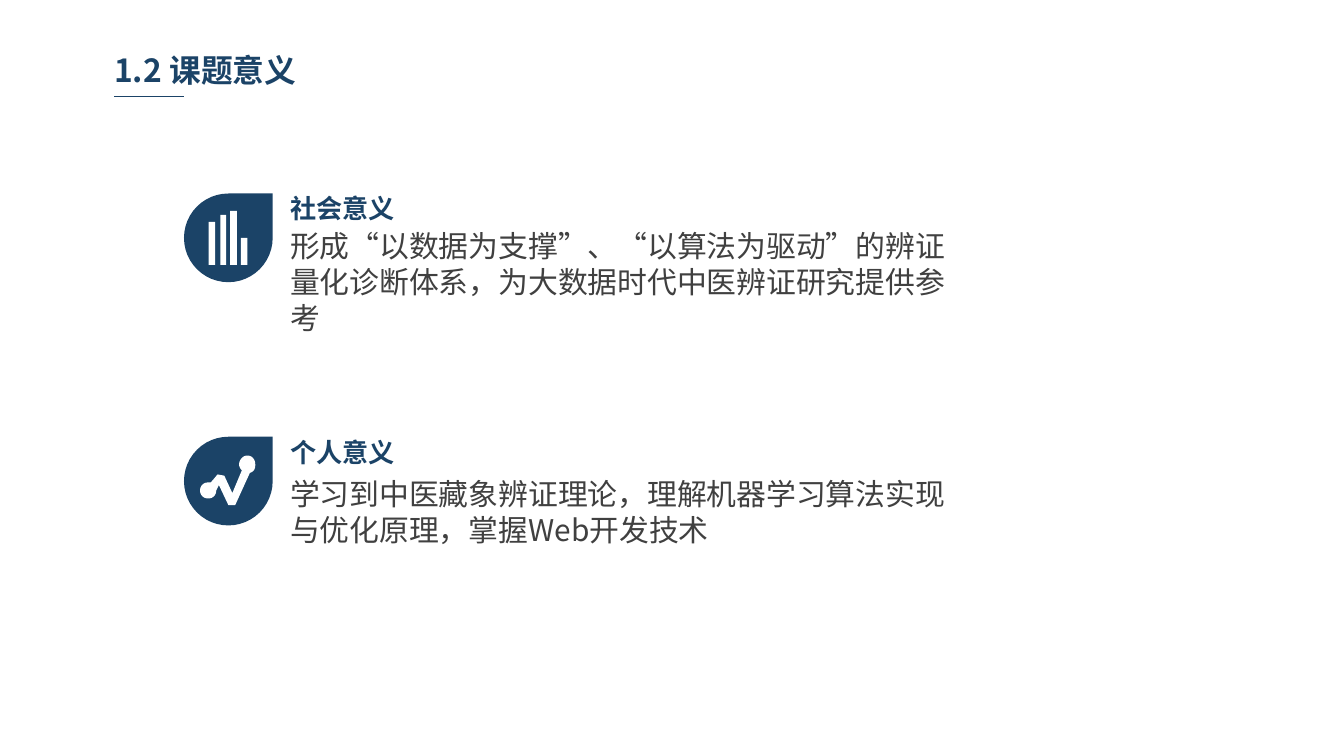
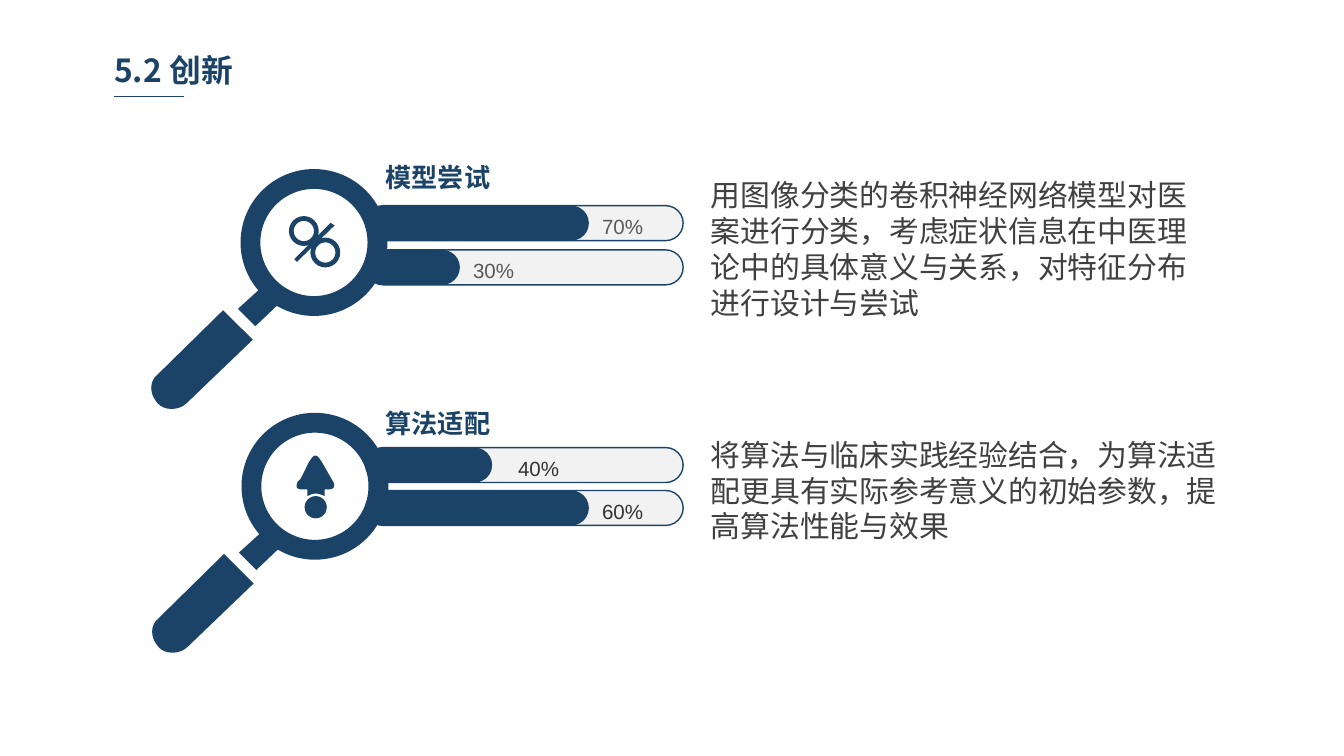
import pptx
import pptx.util
import pptx.dml.color
import pptx.enum.shapes
import pptx.enum.text
import pptx.oxml
import pptx.oxml.ns

Pt = pptx.util.Pt
SHAPE = pptx.enum.shapes.MSO_SHAPE
ALIGN = pptx.enum.text.PP_ALIGN

# Shared colours, fonts and text styles
NAVY, WHITE, PALE, DARK = "1B4367", "FFFFFF", "F2F2F2", "404040"
CJK = "Noto Sans CJK SC"
LEAD = 1.2  # line height per point of text size
TITLE = {"name": CJK, "size": Pt(17), "bold": True}
HEAD = {"name": CJK, "size": Pt(14), "bold": True}
BODY = {"name": CJK, "size": Pt(16), "bold": False}
LABEL = {"name": "Arial", "size": Pt(11)}

# Outlines: a pair is a corner, six numbers are a cubic curve
TREND = [(38.2, 15.1), (38.2, 12.2, 36.7, 10.1, 33.8, 10.1),
         (31.7, 10.1, 29.5, 12.2, 29.5, 15.1),
         (29.5, 15.8, 30.2, 17.3, 31, 18), (25.9, 30.2), (21.6, 20.9),
         (18, 20.2), (14.4, 24.5), (13, 24.5),
         (10.1, 24.5, 8.6, 26.6, 8.6, 28.8), (8.6, 31, 10.1, 33.1, 13, 33.1),
         (15.8, 33.1, 17.3, 31, 17.3, 28.8), (18.7, 25.9), (23.8, 36.7),
         (27.4, 36.7), (35.3, 19.4), (37.4, 18.7, 38.2, 17.3, 38.2, 15.1)]
NECK = [(23, 69.8), (7.9, 84.2), (-1.4, 74.9), (14.4, 60.5)]
GRIP = [(-9.4, 75.6), (-44.6, 110.2), (-49, 113.8, -49, 120.2, -44.6, 125.3),
        (-41, 129.6, -33.1, 129.6, -28.8, 125.3), (6.5, 91.4)]
SLASH = [(50.4, 30.2), (30.2, 49.7), (28.8, 48.2), (48.2, 28.8)]
ARROW = [(48.2, 35.3), (43.2, 26.6), (41.8, 24.5),
         (40.3, 22.3, 38.9, 22.3, 37.4, 24.5), (36, 26.6), (31.7, 35.3),
         (30.2, 36.7), (28.8, 39.6, 29.5, 41, 32.4, 41), (35.3, 41),
         (35.3, 44.6), (36.7, 43.9, 38.2, 43.2, 39.6, 43.2),
         (41, 43.2, 43.2, 43.9, 44.6, 44.6), (44.6, 41), (46.8, 41),
         (49.7, 41, 50.4, 38.9, 49, 36.7)]


def rgb(code):
    return pptx.dml.color.RGBColor.from_string(code)


def write(frame, text, style, color, pad=None, wrap=True, gap=None,
          align=ALIGN.LEFT):
    """Put one formatted paragraph into a text frame."""
    frame.word_wrap = wrap
    frame.auto_size = pptx.enum.text.MSO_AUTO_SIZE.NONE
    frame.vertical_anchor = pptx.enum.text.MSO_ANCHOR.TOP
    if pad:
        frame.margin_left = frame.margin_right = Pt(pad[0])
        frame.margin_top = frame.margin_bottom = Pt(pad[1])
    para = frame.paragraphs[0]
    para.alignment = align
    para.line_spacing = gap
    para.space_before = Pt(0)
    run = para.add_run()
    run.text = text
    for key, value in style.items():
        setattr(run.font, key, value)
    run.font.color.rgb = rgb(color)
    face = pptx.oxml.ns.qn("a:ea")
    run._r.get_or_add_rPr().makeelement(face)
    east = pptx.oxml.parse_xml(
        '<a:ea %s typeface="%s"/>' % (pptx.oxml.ns.nsdecls("a"), style["name"]))
    run._r.get_or_add_rPr().append(east)
    return para


def fill_in(slide, idx, box, text, style, color, ratio=1, wrap=True):
    """Move a placeholder and fill it with plain, unbulleted text."""
    holder = slide.placeholders[idx]
    holder.left, holder.top, holder.width, holder.height = map(Pt, box)
    gap = Pt(round(style["size"].pt * LEAD * ratio, 1))
    para = write(holder.text_frame, text, style, color, (5, 2.7), wrap, gap)
    props = para._p.get_or_add_pPr()
    props.set("marL", "0")
    props.set("indent", "0")
    props.append(pptx.oxml.parse_xml(
        "<a:buNone %s/>" % pptx.oxml.ns.nsdecls("a")))


def paint(shape, color, edge=None):
    shape.shadow.inherit = False
    shape.fill.solid()
    shape.fill.fore_color.rgb = rgb(color)
    if edge:
        shape.line.color.rgb = rgb(edge)
        shape.line.width = Pt(0.75)
    else:
        shape.line.fill.background()


def block(slide, kind, box, color, edge=None, adj=None):
    shape = slide.shapes.add_shape(kind, *map(Pt, box))
    if adj is not None:
        shape.adjustments[0] = adj
    paint(shape, color, edge)


def trace(steps, parts=8):
    """Turn corners and cubic curves into a list of points."""
    dots = []
    for step in steps:
        if len(step) == 2:
            dots.append(step)
            continue
        knots = [dots[-1], step[:2], step[2:4], step[4:]]
        for i in range(1, parts + 1):
            t = i / parts
            mix = ((1 - t) ** 3, 3 * t * (1 - t) ** 2,
                   3 * t * t * (1 - t), t ** 3)
            dots.append(tuple(sum(m * k[axis] for m, k in zip(mix, knots))
                              for axis in (0, 1)))
    return dots


def draw(slide, steps, left, top, color):
    """Draw a closed outline, in hundredths of a point."""
    dots = [((left + x) * 100, (top + y) * 100) for x, y in trace(steps)]
    pen = slide.shapes.build_freeform(*dots[0], scale=127)
    pen.add_line_segments(dots[1:], close=True)
    paint(pen.convert_to_shape(), color)


def start(deck, title):
    """Add a slide with its title and the short rule below."""
    slide = deck.slides.add_slide(deck.slide_layouts[4])
    fill_in(slide, 0, (56.2, 24.5, 177.8, 25.9), title, TITLE, NAVY)
    rule = slide.shapes.add_connector(
        pptx.enum.shapes.MSO_CONNECTOR.STRAIGHT,
        Pt(61.2), Pt(51.8), Pt(98.6), Pt(51.8))
    rule.line.color.rgb = rgb(NAVY)
    rule.line.width = Pt(0.75)
    rule._element.spPr.append(pptx.oxml.parse_xml(
        "<a:effectLst %s/>" % pptx.oxml.ns.nsdecls("a")))
    return slide


def badge(slide, top):
    block(slide, SHAPE.TEAR, (98.6, top, 47.5, 47.5), NAVY)


def bar(slide, top, size, text, color, wide=38.2):
    """Draw a progress bar with its value after the filled part."""
    left, tall = 196, 18.7
    block(slide, SHAPE.ROUNDED_RECTANGLE, (left, top, 170, tall),
          PALE, NAVY, 0.5)
    block(slide, SHAPE.ROUNDED_RECTANGLE, (left, top, size, tall),
          NAVY, adj=0.5)
    box = (left + size - 1, top - 1.8, wide, 23)
    label = slide.shapes.add_textbox(*map(Pt, box))
    write(label.text_frame, text, LABEL, color, gap=LEAD, align=ALIGN.CENTER)


def lens(slide, left, top):
    draw(slide, NECK, left, top, NAVY)
    block(slide, SHAPE.DONUT, (left, top, 78.7, 78.7), NAVY, adj=0.135)
    draw(slide, GRIP, left, top, NAVY)


def meaning(deck):
    slide = start(deck, "1.2 课题意义")
    items = [
        (93.6, 119.5, 71.3, "社会意义", "形成“以数据为支撑”、“以算法为驱动”的"
         "辨证量化诊断体系，为大数据时代中医辨证研究提供参考"),
        (224.6, 252, 52.6, "个人意义", "学习到中医藏象辨证理论，理解机器学习"
         "算法实现与优化原理，掌握Web开发技术")]
    for i, (high, low, tall, head, body) in enumerate(items):
        fill_in(slide, 2 * i + 1, (150.5, high, 157, 22.3), head, HEAD, NAVY,
                ratio=1.4)
        fill_in(slide, 2 * i + 2, (150.5, low, 373, tall), body, BODY, DARK)

    # Column icon
    badge(slide, 103.7)
    for left, top, wide in ((111.7, 118.8, 3.6), (118, 115.2, 3.2),
                            (123.3, 113, 3.6), (129, 127.5, 3.6)):
        block(slide, SHAPE.RECTANGLE, (left, top, wide, 141.9 - top), WHITE)

    # Trend icon
    badge(slide, 234)
    draw(slide, TREND, 98.6, 234, WHITE)


def novel(deck):
    slide = start(deck, "5.2 创新")
    items = [
        (83.5, 92.2, 276, 82.8, "模型尝试", "用图像分类的卷积神经网络模型对医案"
         "进行分类，考虑症状信息在中医理论中的具体意义与关系，对特征分布"
         "进行设计与尝试"),
        (215.3, 231.1, 283, 63.4, "算法适配", "将算法与临床实践经验结合，为算法"
         "适配更具有实际参考意义的初始参数，提高算法性能与效果")]
    for i, (high, low, wide, tall, head, body) in enumerate(items):
        fill_in(slide, 2 * i + 1, (201.6, high, 67.7, 22.3), head, HEAD, NAVY,
                wrap=False)
        fill_in(slide, 2 * i + 2, (375.8, low, wide, tall), body, BODY, DARK)

    # Progress bars
    bar(slide, 110.2, 119.5, "70%", "595959")
    bar(slide, 133.9, 50.4, "30%", "595959")
    bar(slide, 239.8, 67.7, "40%", "333333", 51.8)
    bar(slide, 262.8, 119.5, "60%", "333333")

    # Lens with a percent sign
    left, top = 128.9, 90.6
    lens(slide, left, top)
    for x, y in ((37.4, 36.7), (25.9, 25.2)):
        block(slide, SHAPE.DONUT, (left + x, top + y, 16, 16), NAVY, adj=0.16)
    draw(slide, SLASH, left, top, NAVY)

    # Lens with an arrow
    left, top = 129.4, 221.2
    lens(slide, left, top)
    draw(slide, ARROW, left, top, NAVY)
    block(slide, SHAPE.OVAL, (left + 33.8, top + 44.6, 11.9, 11.9), NAVY)


def main():
    deck = pptx.Presentation()
    deck.slide_width, deck.slide_height = Pt(720), Pt(405)
    meaning(deck)
    novel(deck)
    deck.save("out.pptx")


if __name__ == "__main__":
    main()
